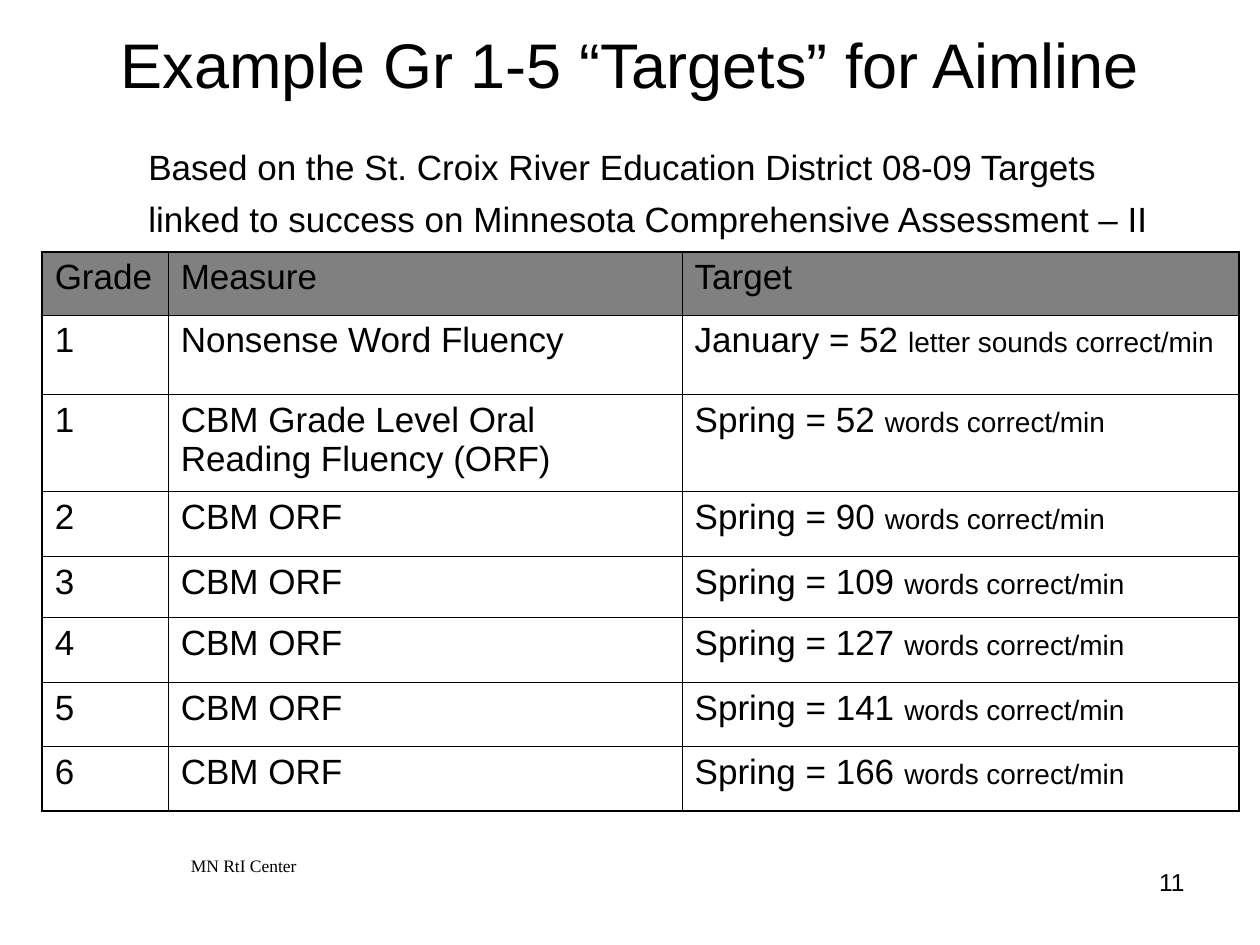
from pptx import Presentation
from pptx.dml.color import RGBColor
from pptx.enum.text import MSO_ANCHOR, PP_ALIGN
from pptx.oxml.ns import qn
from pptx.util import Cm, Pt
from lxml import etree

LEFT, MID, RIGHT = PP_ALIGN.LEFT, PP_ALIGN.CENTER, PP_ALIGN.RIGHT
TOP, CENTER = MSO_ANCHOR.TOP, MSO_ANCHOR.MIDDLE
BLACK = RGBColor(0, 0, 0)
GRAY = RGBColor(0x80, 0x80, 0x80)
THIN, THICK = Pt(0.45), Pt(1.08)

TITLE = "Example Gr 1-5 “Targets” for Aimline"
BASIS = [
    "Based on the St. Croix River Education District 08-09 Targets",
    "linked to success on Minnesota Comprehensive Assessment – II",
]
FOOTER = "MN RtI Center"
NUMBER = "11"
WORDS = "words correct/min"
# Grade, measure, target, unit of the target
ROWS = [
    ("Grade", "Measure", "Target", ""),
    ("1", "Nonsense Word Fluency", "January = 52 ", "letter sounds correct/min"),
    ("1", "CBM Grade Level Oral Reading Fluency (ORF)", "Spring = 52 ", WORDS),
    ("2", "CBM ORF", "Spring = 90 ", WORDS),
    ("3", "CBM ORF", "Spring = 109 ", WORDS),
    ("4", "CBM ORF", "Spring = 127 ", WORDS),
    ("5", "CBM ORF", "Spring = 141 ", WORDS),
    ("6", "CBM ORF", "Spring = 166 ", WORDS),
]
WIDTHS = [2.54, 10.36, 11.23]
HEIGHTS = [1.27, 1.6, 1.96, 1.3, 1.24, 1.3, 1.3, 1.3]


def style(run, size, face="Arial"):
    run.font.size = Pt(size)
    run.font.name = face
    run.font.color.rgb = BLACK


def add_text(slide, box, lines, size, align=LEFT, anchor=TOP, face="Arial", wrap=True):
    frame = slide.shapes.add_textbox(*map(Cm, box)).text_frame
    frame.word_wrap = wrap
    frame.vertical_anchor = anchor
    frame.text = "\n".join(lines)
    for i, para in enumerate(frame.paragraphs):
        para.alignment = align
        if i:
            para.space_before = Pt(6)
        style(para.runs[0], size, face)


def add_edge(cell, tag, width):
    """Draw one border of a cell; tag is lnL, lnR, lnT or lnB."""
    line = etree.SubElement(cell._tc.get_or_add_tcPr(), qn("a:" + tag), w=str(width))
    fill = etree.SubElement(line, qn("a:solidFill"))
    etree.SubElement(fill, qn("a:srgbClr"), val=str(BLACK))


def add_targets(slide):
    box = map(Cm, (0.85, 5.08, sum(WIDTHS), sum(HEIGHTS)))
    table = slide.shapes.add_table(len(ROWS), len(WIDTHS), *box).table
    table.first_row = table.horz_banding = False
    for col, width in zip(table.columns, WIDTHS):
        col.width = Cm(width)
    for row, height in zip(table.rows, HEIGHTS):
        row.height = Cm(height)
    last, end = len(ROWS) - 1, len(WIDTHS) - 1
    for r, (grade, measure, target, unit) in enumerate(ROWS):
        for c, text in enumerate((grade, measure, target)):
            cell = table.cell(r, c)
            cell.text = text
            para = cell.text_frame.paragraphs[0]
            style(para.runs[0], 20)
            if c == end and unit:
                run = para.add_run()
                run.text = unit
                style(run, 16)
            outer = {"lnL": c == 0, "lnR": c == end, "lnT": r == 0, "lnB": r == last}
            for tag, thick in outer.items():
                add_edge(cell, tag, THICK if thick else THIN)
            if r == 0:
                cell.fill.solid()
                cell.fill.fore_color.rgb = GRAY
            else:
                cell.fill.background()


def main():
    deck = Presentation()
    deck.slide_width, deck.slide_height = Cm(25.4), Cm(19.05)
    slide = deck.slides.add_slide(deck.slide_layouts[6])
    add_text(slide, (3.6, 17.12, 3.02, 0.69), [FOOTER], 10,
             face="Times New Roman", wrap=False)
    add_text(slide, (18.21, 17.35, 5.92, 1.32), [NUMBER], 14, RIGHT)
    add_text(slide, (0.64, -0.2, 24.13, 2.97), [TITLE], 36, MID, CENTER)
    add_text(slide, (2.74, 2.8, 22.6, 2.2), BASIS, 20)
    add_targets(slide)
    deck.save("out.pptx")


if __name__ == "__main__":
    main()
